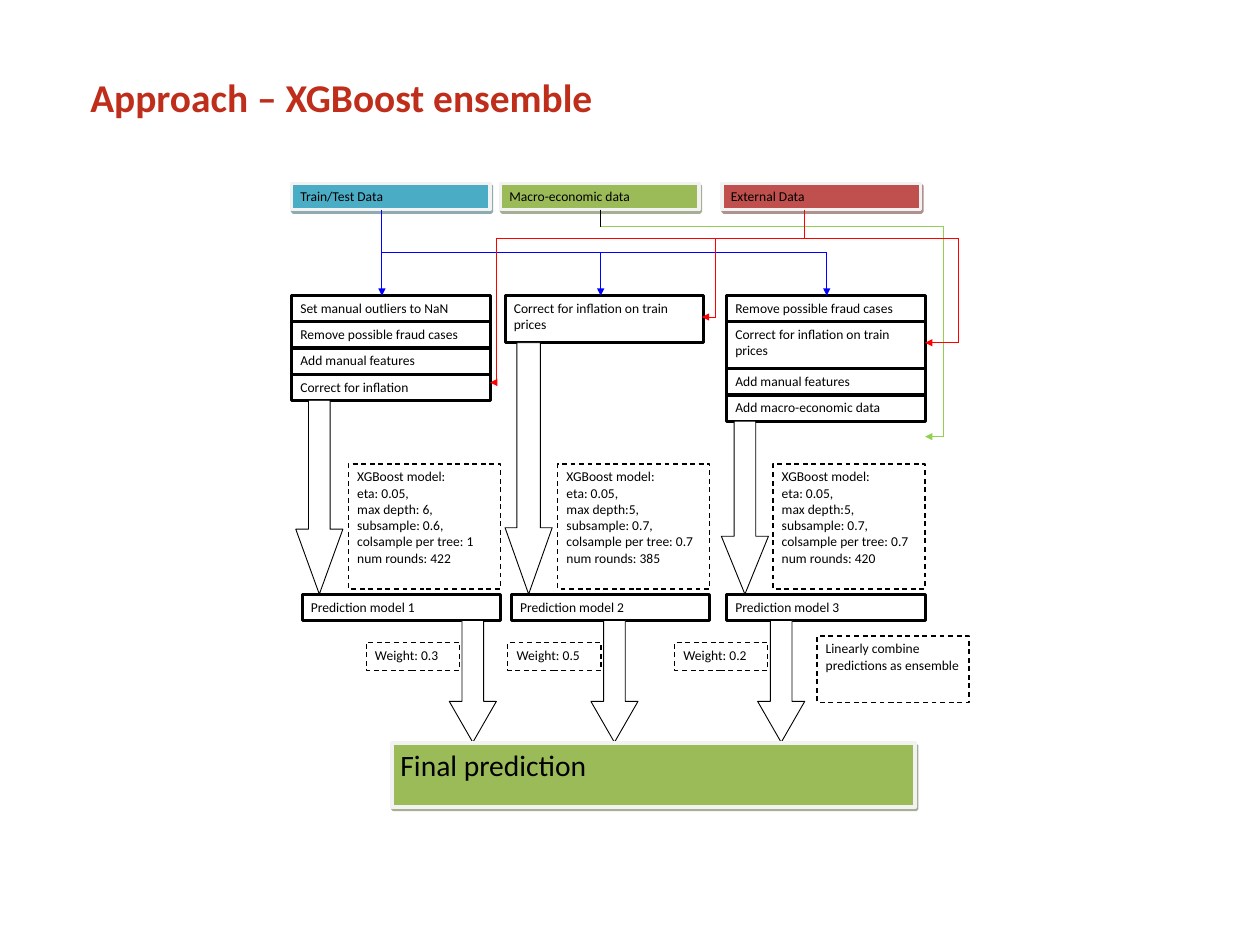
"""Build the slide with the flow chart of the XGBoost ensemble."""
import pptx
import pptx.dml.color
import pptx.enum.dml
import pptx.enum.shapes
import pptx.enum.text
import pptx.oxml
import pptx.oxml.ns
import pptx.util

Cm = pptx.util.Cm
Pt = pptx.util.Pt
SHAPES = pptx.enum.shapes.MSO_SHAPE

TITLE = "Approach – XGBoost ensemble"
FINAL = "Final prediction"
ENSEMBLE_NOTE = "Linearly combine predictions as ensemble"
INFLATION = "Correct for inflation on train prices"

# name, left, fill, shadow
SOURCES = [
    ("Train/Test Data", 8.36, "4BACC6", "205867"),
    ("Macro-economic data", 14.35, "9BBB59", "4E6128"),
    ("External Data", 20.70, "C0504D", "622423"),
]
BRANCHES = [
    {
        "steps": ["Set manual outliers to NaN", "Remove possible fraud cases",
                  "Add manual features", "Correct for inflation"],
        "settings": ["max depth: 6, subsample: 0.6,", "colsample per tree: 1", "num rounds: 422"],
        "weight": "0.3",
        "steps_left": 8.36, "arrow_left": 8.48, "model_left": 8.66, "weight_arrow_left": 12.88,
        "arrow_shape": (0.46, 1.38),
    },
    {
        "steps": [INFLATION],
        "settings": ["max depth:5, subsample: 0.7,", "colsample per tree: 0.7", "num rounds: 385"],
        "weight": "0.5",
        "steps_left": 14.48, "arrow_left": 14.48, "model_left": 14.66, "weight_arrow_left": 16.94,
        "arrow_shape": (0.5, 1.41),
    },
    {
        "steps": ["Remove possible fraud cases", INFLATION,
                  "Add manual features", "Add macro-economic data"],
        "settings": ["max depth:5, subsample: 0.7,", "colsample per tree: 0.7", "num rounds: 420"],
        "weight": "0.2",
        "steps_left": 20.83, "arrow_left": 20.68, "model_left": 20.83, "weight_arrow_left": 21.72,
        "arrow_shape": (0.46, 1.23),
    },
]

BOX_WIDTH, ROW, TALL_ROW = 5.69, 0.75, 1.35
SOURCE_TOP, STEPS_TOP, SETTINGS_TOP, MODEL_TOP = 5.26, 8.48, 13.31, 17.04
SETTINGS_WIDTH, SETTINGS_HEIGHT = 4.36, 3.58
ARROW_WIDTH, WEIGHT_ARROW_HEIGHT = 1.35, 3.5
WEIGHT_TOP, WEIGHT_WIDTH, WEIGHT_HEIGHT, WEIGHT_OFFSET = 18.42, 2.67, 0.81, 2.38

BLUE, RED, GREEN, BLACK = "0000FF", "FF0000", "92D050", "000000"
SOURCE_BOTTOM = SOURCE_TOP + ROW
BLUE_BUS, RED_BUS, GREEN_BUS = 7.24, 6.83, 6.5
TRAIN_X, MACRO_X, EXTERNAL_X = 10.95, 17.22, 23.06
# colour, corner points, arrow at the end
ROUTES = [
    (BLUE, [(TRAIN_X, SOURCE_BOTTOM), (TRAIN_X, STEPS_TOP)], True),
    (BLUE, [(TRAIN_X, BLUE_BUS), (MACRO_X, BLUE_BUS), (MACRO_X, STEPS_TOP)], True),
    (BLUE, [(MACRO_X, BLUE_BUS), (23.7, BLUE_BUS), (23.7, STEPS_TOP)], True),
    (BLACK, [(MACRO_X, SOURCE_BOTTOM), (MACRO_X, GREEN_BUS)], False),
    (GREEN, [(MACRO_X, GREEN_BUS), (27.05, GREEN_BUS), (27.05, 12.52), (26.52, 12.52)], True),
    (RED, [(EXTERNAL_X, SOURCE_BOTTOM), (EXTERNAL_X, RED_BUS), (14.22, RED_BUS),
           (14.22, 10.97), (14.05, 10.97)], True),
    (RED, [(20.52, RED_BUS), (20.52, 9.09), (20.12, 9.09)], True),
    (RED, [(EXTERNAL_X, RED_BUS), (27.48, RED_BUS), (27.48, 9.83), (26.52, 9.83)], True),
]


def colour(value):
    return pptx.dml.color.RGBColor.from_string(value)


def add_span(para, text, size, ink=BLACK, bold=False):
    span = para.add_run()
    span.text = text
    span.font.name = "Calibri"
    span.font.size = Pt(size)
    span.font.bold = bold
    span.font.color.rgb = colour(ink)


def add_outline(page, kind, left, top, width, height, fill="FFFFFF", line=BLACK, weight=0.75):
    shape = page.shapes.add_shape(kind, Cm(left), Cm(top), Cm(width), Cm(height))
    shape.shadow.inherit = False
    shape.fill.solid()
    shape.fill.fore_color.rgb = colour(fill)
    shape.line.color.rgb = colour(line)
    shape.line.width = Pt(weight)
    return shape


def add_box(page, lines, left, top, width, height, size=11, **look):
    box = add_outline(page, SHAPES.RECTANGLE, left, top, width, height, **look)
    frame = box.text_frame
    frame.word_wrap = True
    frame.vertical_anchor = pptx.enum.text.MSO_ANCHOR.TOP
    para = frame.paragraphs[0]
    para.alignment = pptx.enum.text.PP_ALIGN.LEFT
    for index, text in enumerate(lines):
        if index:
            para.add_line_break()
        add_span(para, text, size)
    return box


def add_dashed_box(page, lines, left, top, width, height):
    box = add_box(page, lines, left, top, width, height, weight=1)
    box.line.dash_style = pptx.enum.dml.MSO_LINE.DASH


def add_raised_box(page, text, left, top, width, height, fill, shadow, size=11):
    box = add_box(page, [text], left, top, width, height, size, fill=fill, line="F2F2F2", weight=3)
    effects = box.element.spPr.find(pptx.oxml.ns.qn("a:effectLst"))
    effects.append(pptx.oxml.parse_xml(
        f'<a:outerShdw {pptx.oxml.ns.nsdecls("a")} dist="28000" dir="3780000" algn="ctr" '
        f'rotWithShape="0"><a:srgbClr val="{shadow}"><a:alpha val="50000"/></a:srgbClr></a:outerShdw>'))


def add_down_arrow(page, left, top, height, proportions):
    arrow = add_outline(page, SHAPES.DOWN_ARROW, left, top, ARROW_WIDTH, height)
    for index, proportion in enumerate(proportions):
        arrow.adjustments[index] = proportion


def add_route(page, ink, points, has_arrow):
    for start, end in zip(points, points[1:]):
        line = page.shapes.add_connector(
            pptx.enum.shapes.MSO_CONNECTOR.STRAIGHT, *[Cm(value) for value in start + end])
        line.line.color.rgb = colour(ink)
        line.line.width = Pt(0.75)
        names = pptx.oxml.ns.nsdecls("a")
        if has_arrow and end == points[-1]:
            line.line._get_or_add_ln().append(
                pptx.oxml.parse_xml(f'<a:tailEnd {names} type="triangle"/>'))
        line.element.spPr.append(pptx.oxml.parse_xml(f"<a:effectLst {names}/>"))


def add_branch(page, number, branch):
    top = STEPS_TOP
    for step in branch["steps"]:
        height = TALL_ROW if step == INFLATION else ROW
        add_box(page, [step], branch["steps_left"], top, BOX_WIDTH, height, weight=2.5)
        top += height
    add_down_arrow(page, branch["arrow_left"], top, MODEL_TOP - top, branch["arrow_shape"])
    model_left = branch["model_left"]
    add_box(page, [f"Prediction model {number}"], model_left, MODEL_TOP, BOX_WIDTH, ROW, weight=2.5)
    add_dashed_box(page, ["XGBoost model:", "eta: 0.05,"] + branch["settings"],
                   model_left + BOX_WIDTH - SETTINGS_WIDTH, SETTINGS_TOP,
                   SETTINGS_WIDTH, SETTINGS_HEIGHT)
    arrow_left = branch["weight_arrow_left"]
    add_down_arrow(page, arrow_left, MODEL_TOP + ROW, WEIGHT_ARROW_HEIGHT, (0.46, 0.87))
    add_dashed_box(page, [f"Weight: {branch['weight']}"], arrow_left - WEIGHT_OFFSET,
                   WEIGHT_TOP, WEIGHT_WIDTH, WEIGHT_HEIGHT)


def add_title(page):
    title = page.shapes.title
    title.left, title.top, title.width, title.height = Cm(2.49), Cm(2), Cm(30.99), Cm(3)
    frame = title.text_frame
    frame.margin_left = frame.margin_right = frame.margin_top = frame.margin_bottom = Cm(0.1)
    frame.vertical_anchor = pptx.enum.text.MSO_ANCHOR.TOP
    frame.paragraphs[0].alignment = pptx.enum.text.PP_ALIGN.LEFT
    add_span(frame.paragraphs[0], TITLE, 32, "BE2E1A", True)


def main():
    deck = pptx.Presentation()
    deck.slide_width, deck.slide_height = Cm(36.12), Cm(27.1)
    page = deck.slides.add_slide(deck.slide_layouts[5])
    add_title(page)
    for number, branch in enumerate(BRANCHES, 1):
        add_branch(page, number, branch)
    for name, left, fill, shadow in SOURCES:
        add_raised_box(page, name, left, SOURCE_TOP, BOX_WIDTH, ROW, fill, shadow)
    for route in ROUTES:
        add_route(page, *route)
    add_dashed_box(page, [ENSEMBLE_NOTE], 23.42, 18.24, SETTINGS_WIDTH, 1.9)
    add_raised_box(page, FINAL, 11.23, 21.31, 15.01, 1.83, "9BBB59", "4E6128", 24)
    deck.save("out.pptx")


if __name__ == "__main__":
    main()
